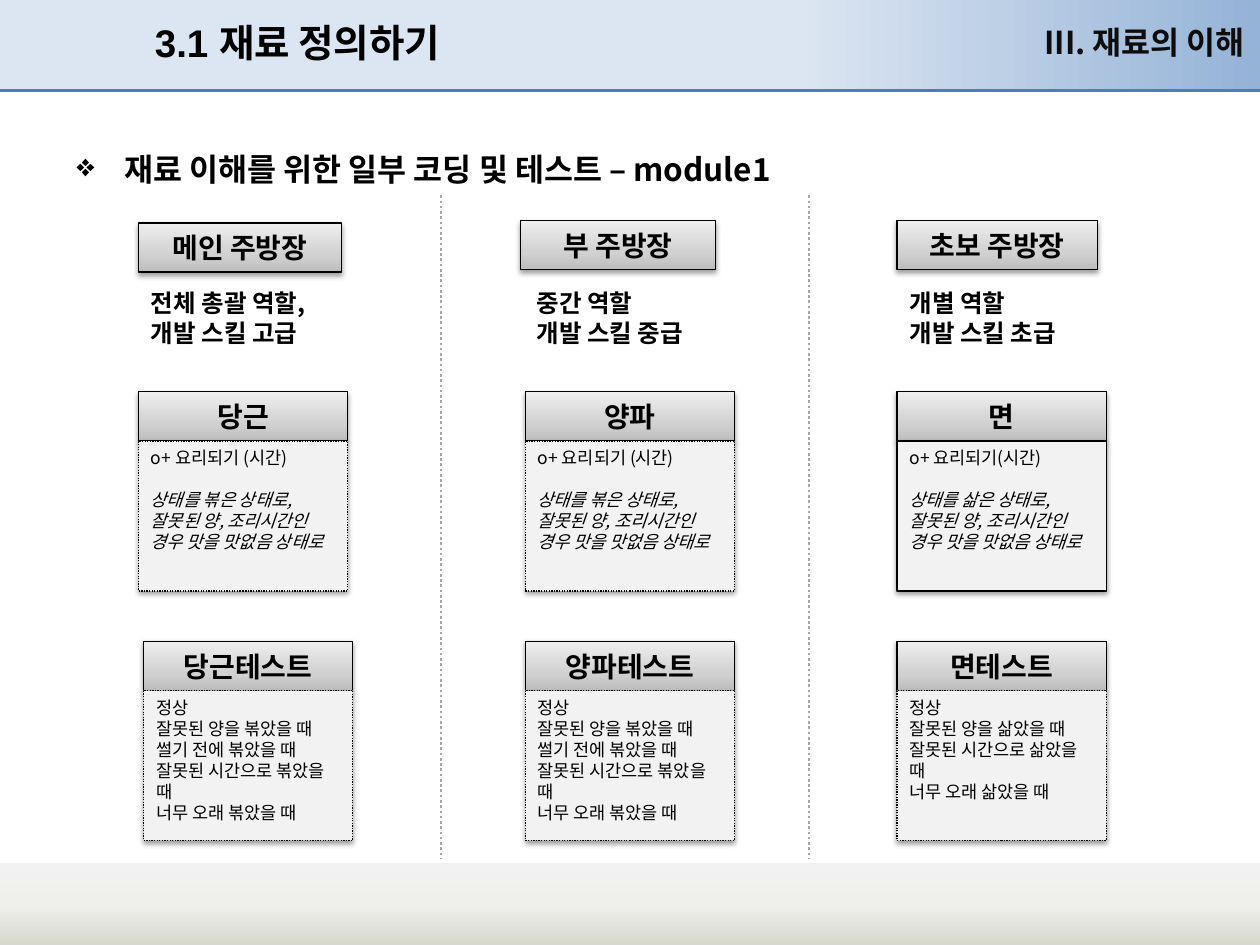
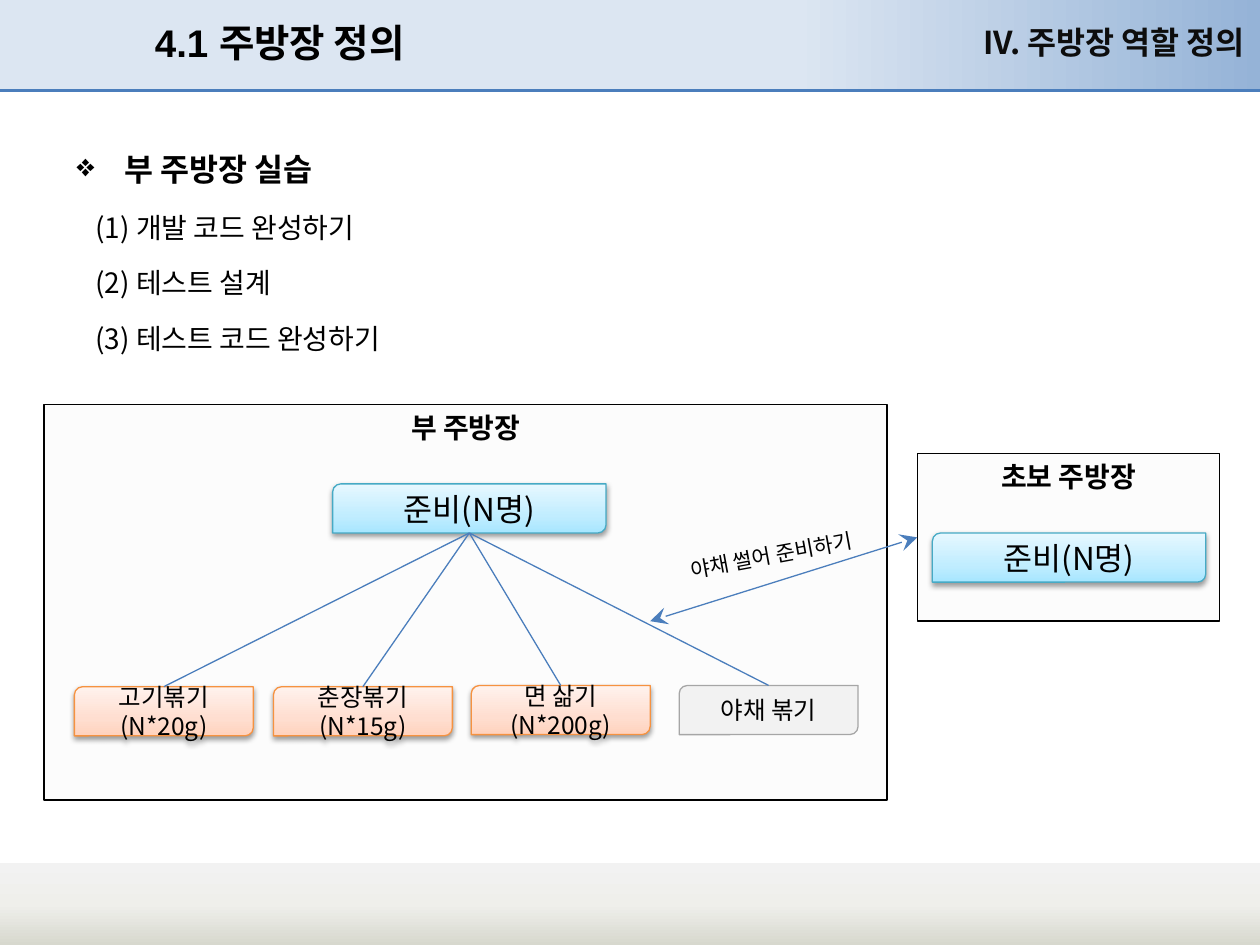
import copy

import pptx
import pptx.dml.color
import pptx.enum.dml
import pptx.enum.shapes
import pptx.enum.text
import pptx.oxml.ns
import pptx.util
from lxml import etree

Inches = pptx.util.Inches
Pt = pptx.util.Pt
qn = pptx.oxml.ns.qn
SHAPES = pptx.enum.shapes.MSO_SHAPE
ALIGN = pptx.enum.text.PP_ALIGN
ANCHOR = pptx.enum.text.MSO_ANCHOR
AUTO_SIZE = pptx.enum.text.MSO_AUTO_SIZE
DOTTED = pptx.enum.dml.MSO_LINE.ROUND_DOT

KOREAN_FONT, TITLE_FONT = "Noto Sans CJK KR", "Arial"
BLACK, LABEL, PALE, GREY, BLUE = "000000", "0D0D0D", "F2F2F2", "A6A6A6", "4B7EBC"

# Gradients: clockwise angle, then (position, colour) stops
BAND = (0, [(0, "DCE6F2"), (63, "DCE6F2"), (100, "95B3D7")])
FOOTER = (90, [(0, PALE), (50, "EFEFEB"), (100, "D7D8CE")])
SILVER = (270, [(0, "BDBDBD"), (35, "D1D1D1"), (100, "EEEEEE")])
SKY = (270, [(0, "A7E6FF"), (35, "C1EDFF"), (100, "E7F8FF")])
PEACH = (270, [(0, "FFD2BD"), (35, "FFDED0"), (100, "FFF2ED")])

# Connection sites of a two-corner rounded box
ROUND_BOTTOM, ROUND_TOP = 1, 3


def rgb(value):
    return pptx.dml.color.RGBColor.from_string(value)


def add_xml(parent, tag, **attributes):
    return etree.SubElement(parent, qn(tag), attributes)


class Deck:
    def __init__(self):
        self.presentation = pptx.Presentation()
        self.presentation.slide_width = Inches(10)
        self.presentation.slide_height = Inches(7.5)
        self.layout = self.presentation.slide_layouts[5]
        self.slide = None
        self.banded = False

    def new_slide(self, title, chapter):
        self.slide = self.presentation.slides.add_slide(self.layout)
        if not self.banded:
            self.add_bands()
        heading = self.slide.shapes.title
        heading.left, heading.top = Inches(1.13), Inches(0.05)
        heading.width, heading.height = Inches(5.91), Inches(0.57)
        heading.text_frame.auto_size = AUTO_SIZE.NONE
        heading.text_frame.vertical_anchor = ANCHOR.MIDDLE
        self.add_lines(heading, [title], 22, bold=True, font=TITLE_FONT)
        label = self.text((6.81, 0.13, 3.07, 0.39), [chapter], 18, bold=True,
                          color=LABEL, align=ALIGN.RIGHT)
        label.text_frame.margin_left = label.text_frame.margin_right = 0

    def add_bands(self):
        """Put the header and footer bands on the layout."""
        bands = [self.box((0, -0.01, 10, 0.73), BAND, None),
                 self.box((0, 6.85, 10, 0.65), FOOTER, None),
                 self.line((0, 0.72), (10, 0.72), BLUE, 2)]
        tree = self.layout.shapes._spTree
        for number, band in enumerate(bands):
            element = band._element
            element.xpath(".//p:cNvPr")[0].set("id", str(100 + number))
            tree.insert(2 + number, element)
        self.banded = True

    def add_lines(self, shape, lines, size, bold=False, color=BLACK,
                  align=ALIGN.LEFT, font=KOREAN_FONT, italic_from=None):
        """Add one paragraph a line; lines from italic_from on are set apart."""
        frame = shape.text_frame
        for number, line in enumerate(lines):
            paragraph = frame.paragraphs[0] if number == 0 else frame.add_paragraph()
            paragraph.alignment = align
            if number and number == italic_from:
                paragraph.space_before = Pt(12)
            italic = italic_from is not None and number >= italic_from
            self.add_words(paragraph, line, size, bold, color, font, italic)

    def add_words(self, paragraph, words, size, bold=False, color=BLACK,
                  font=KOREAN_FONT, italic=False):
        run = paragraph.add_run()
        run.text = words
        run.font.size = Pt(size)
        run.font.bold = bold
        run.font.italic = italic
        run.font.color.rgb = rgb(color)
        run.font.name = font
        add_xml(run._r.get_or_add_rPr(), "a:ea", typeface=KOREAN_FONT)

    def text(self, place, lines, size, wrap=True, **style):
        box = self.slide.shapes.add_textbox(*map(Inches, place))
        box.text_frame.word_wrap = wrap
        if not wrap:
            box.text_frame.auto_size = AUTO_SIZE.SHAPE_TO_FIT_TEXT
        self.add_lines(box, lines, size, **style)
        return box

    def outline(self, heading, steps=()):
        """Add the bulleted heading and the steps under it."""
        box = self.slide.shapes.add_textbox(*map(Inches, (0.51, 0.99, 9.21, 5.75)))
        frame = box.text_frame
        frame.word_wrap = True
        top = frame.paragraphs[0]
        top.line_spacing = 1.5
        properties = top._p.get_or_add_pPr()
        properties.set("marL", str(Inches(0.38)))
        properties.set("indent", str(-Inches(0.38)))
        add_xml(properties, "a:buChar", char="❖")
        self.add_words(top, heading, 18, bold=True)
        for step in steps:
            paragraph = frame.add_paragraph()
            paragraph.line_spacing = 1.5
            paragraph.space_before = Pt(3.2)
            paragraph._p.get_or_add_pPr().set("marL", str(Inches(0.15)))
            self.add_words(paragraph, step, 16)

    def box(self, place, fill, border=BLACK, kind=SHAPES.RECTANGLE, shadow=False,
            dash=None, alpha=None, anchor=ANCHOR.MIDDLE, margin=None):
        shape = self.slide.shapes.add_shape(kind, *map(Inches, place))
        properties = shape._element.spPr
        if isinstance(fill, tuple):
            self.gradient(shape, *fill)
        else:
            shape.fill.solid()
            shape.fill.fore_color.rgb = rgb(fill)
        if alpha:
            tint = properties.find(".//" + qn("a:srgbClr"))
            add_xml(tint, "a:alpha", val=str(alpha * 1000))
        if border:
            self.stroke(shape.line, border, 0.75, dash)
        else:
            shape.line.fill.background()
        shape.shadow.inherit = False
        if shadow:
            cast = add_xml(properties.find(qn("a:effectLst")), "a:outerShdw",
                           blurRad="40000", dist="20000", dir="5400000", rotWithShape="0")
            add_xml(add_xml(cast, "a:srgbClr", val=BLACK), "a:alpha", val="38000")
        frame = shape.text_frame
        frame.word_wrap = True
        frame.vertical_anchor = anchor
        if margin is not None:
            frame.margin_left = frame.margin_right = Inches(margin)
            frame.margin_top = frame.margin_bottom = Inches(margin)
        return shape

    def gradient(self, shape, angle, stops):
        shape.fill.gradient()
        shape.fill.gradient_angle = (360 - angle) % 360
        stop_list = shape._element.spPr.find(".//" + qn("a:gsLst"))
        stop_list.append(copy.deepcopy(stop_list[-1]))
        for stop, (position, color) in zip(shape.fill.gradient_stops, stops):
            stop.position = position / 100
            stop.color.rgb = rgb(color)

    def stroke(self, line, color, width, dash=None):
        line.color.rgb = rgb(color)
        line.width = Pt(width)
        if dash:
            line.dash_style = dash

    def line(self, start, end, color=BLUE, width=0.75, dash=None, heads=False):
        connector = self.slide.shapes.add_connector(
            pptx.enum.shapes.MSO_CONNECTOR.STRAIGHT, *map(Inches, start + end))
        self.stroke(connector.line, color, width, dash)
        if heads:
            stroke = connector.line._get_or_add_ln()
            for tag in ("a:headEnd", "a:tailEnd"):
                add_xml(stroke, tag, type="stealth", w="lg", len="lg")
        add_xml(connector._element.spPr, "a:effectLst")
        return connector

    def branch(self, parent, child):
        """Join the bottom of one rounded box to the top of another."""
        connector = self.line((0, 0), (1, 1))
        connector.begin_connect(parent, ROUND_BOTTOM)
        connector.end_connect(child, ROUND_TOP)
        # Rounded boxes number their sites differently, so set the ends here
        connector.begin_x = parent.left + parent.width // 2
        connector.begin_y = parent.top + parent.height
        connector.end_x = child.left + child.width // 2
        connector.end_y = child.top

    def header(self, place, words):
        box = self.box(place, SILVER, shadow=True)
        self.add_lines(box, [words], 16, bold=True, align=ALIGN.CENTER)

    def card(self, left, top, heading, lines, dash=DOTTED, italic_from=None):
        """Draw a silver header with a list box below it."""
        self.header((left, top, 1.66, 0.39), heading)
        details = self.box((left, top + 0.39, 1.66, 1.19), PALE, shadow=True,
                           dash=dash, anchor=ANCHOR.TOP)
        self.add_lines(details, lines, 10, italic_from=italic_from)

    def kitchen(self, place, chef):
        room = self.box(place, PALE, alpha=20, anchor=ANCHOR.TOP)
        self.add_lines(room, [chef], 16, bold=True, align=ALIGN.CENTER)
        return room

    def task(self, place, lines, size, fill, border, shadow=True, margin=None):
        task = self.box(place, fill, border, SHAPES.ROUND_2_DIAG_RECTANGLE,
                        shadow=shadow, margin=margin)
        self.add_lines(task, lines, size, align=ALIGN.CENTER)
        return task


def ingredients_slide(deck):
    deck.new_slide("3.1 재료 정의하기", "III. 재료의 이해")
    deck.outline("재료 이해를 위한 일부 코딩 및 테스트 – module1")

    # Chefs and their roles
    chefs = [
        ((1.1, 1.77, 1.61, 0.39), "메인 주방장", (1.1, 1.57), ["전체 총괄 역할,", "개발 스킬 고급"]),
        ((4.13, 1.75, 1.55, 0.39), "부 주방장", (4.16, 1.52), ["중간 역할", "개발 스킬 중급"]),
        ((7.12, 1.75, 1.59, 0.39), "초보 주방장", (7.12, 1.59), ["개별 역할", "개발 스킬 초급"]),
    ]
    for place, chef, (left, width), role in chefs:
        deck.header(place, chef)
        deck.text((left, 2.24, width, 0.57), role, 14, wrap=False, bold=True)

    # Ingredient classes and their tests
    ingredients = [
        (1.1, 1.14, "당근", "볶", "요리되기 (시간)", DOTTED),
        (4.17, 4.17, "양파", "볶", "요리되기 (시간)", DOTTED),
        (7.12, 7.12, "면", "삶", "요리되기(시간)", None),
    ]
    for left, test_left, name, verb, method, dash in ingredients:
        deck.card(left, 3.11, name,
                  [f"o+ {method}", f"상태를 {verb}은 상태로,",
                   "잘못된 양, 조리시간인 경우 맛을 맛없음 상태로"], dash, italic_from=1)
        cases = ["정상", f"잘못된 양을 {verb}았을 때", f"잘못된 시간으로 {verb}았을 때",
                 f"너무 오래 {verb}았을 때"]
        if verb == "볶":
            cases.insert(2, "썰기 전에 볶았을 때")
        deck.card(test_left, 5.09, f"{name}테스트", cases)

    # Column dividers
    for x in (3.5, 6.42):
        deck.line((x, 1.55), (x, 6.82), GREY, 1.5, DOTTED)


def sous_chef_slide(deck):
    deck.new_slide("4.1 주방장 정의", "IV. 주방장 역할 정의")
    deck.outline("부 주방장 실습", ["(1) 개발 코드 완성하기", "(2) 테스트 설계",
                               "(3) 테스트 코드 완성하기"])

    # Kitchens and their preparation steps
    deck.kitchen((0.35, 3.21, 6.69, 3.14), "부 주방장")
    novice = deck.kitchen((7.28, 3.6, 2.4, 1.33), "초보 주방장")
    preparation, _ = [deck.task((left, top, 2.17, 0.39), ["준비(N명)"], 18, SKY, "46AAC5")
                      for left, top in ((2.64, 3.84), (7.4, 4.23))]

    # Cooking tasks under the preparation
    dishes = [(0.59, 5.45, ["고기볶기", "(N*20g)"]), (2.17, 5.45, ["춘장볶기", "(N*15g)"]),
              (3.74, 5.44, ["면 삶기", "(N*200g)"])]
    tasks = [deck.task((left, top, 1.42, 0.39), lines, 14, PEACH, "F69240", margin=0.04)
             for left, top, lines in dishes]
    tasks.append(deck.task((5.39, 5.44, 1.42, 0.39), ["야채 볶기"], 14, PALE, GREY,
                           shadow=False, margin=0.04))
    for dish in tasks:
        deck.branch(preparation, dish)

    # Vegetable hand-over between the kitchens
    handover = deck.line((5.16, 4.93), (7.28, 4.27), heads=True)
    handover.end_connect(novice, 1)
    note = deck.text((5.37, 4.24, 1.67, 0.3), ["야채 썰어 준비하기"], 12, wrap=False)
    note.rotation = 349.5


def main():
    deck = Deck()
    ingredients_slide(deck)
    sous_chef_slide(deck)
    deck.presentation.save("out.pptx")


if __name__ == "__main__":
    main()
